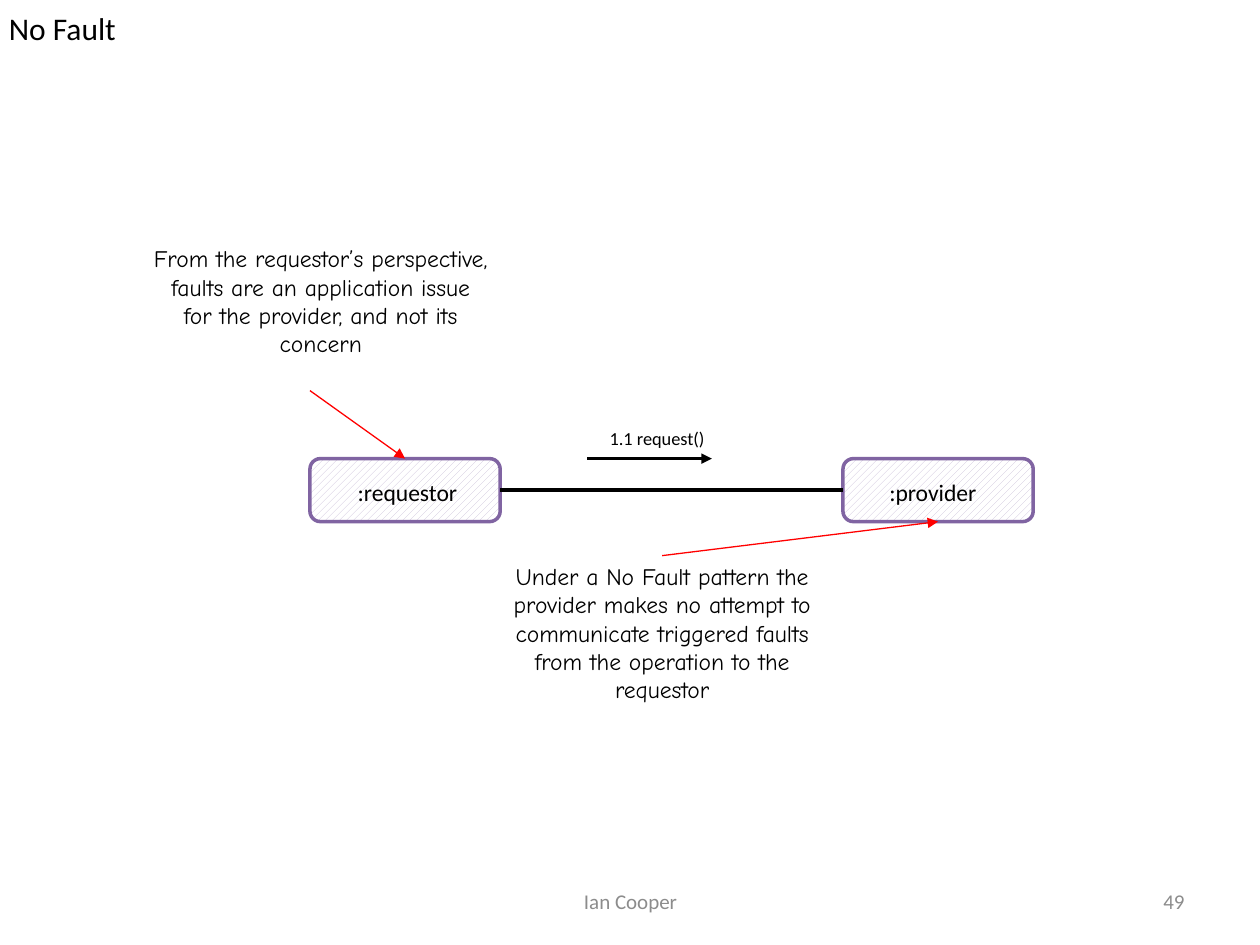
from typing import NamedTuple, Optional

from lxml.etree import SubElement
from pptx import Presentation
from pptx.dml.color import RGBColor
from pptx.enum.dml import MSO_PATTERN
from pptx.enum.shapes import MSO_CONNECTOR, MSO_SHAPE
from pptx.enum.text import MSO_ANCHOR, MSO_AUTO_SIZE, PP_ALIGN
from pptx.oxml.ns import qn
from pptx.util import Inches, Pt

COLORS = {
    "text": "000000", "footer": "8C8C8C", "link": "000000", "callout": "FF0000",
    "border": "8064A2", "hatch": "CCC1DA", "paper": "FFFFFF",
}
COLS, ROWS = 100, 75  # grid of 0.1 inch cells
TOP, LEFT, BOTTOM, RIGHT = range(4)  # connection sites


class Area(NamedTuple):
    col: float
    row: float
    cols: float
    rows: float


class Label(NamedTuple):
    text: str
    area: Area
    size: float
    font: str = "Calibri"
    color: str = "text"
    align: PP_ALIGN = PP_ALIGN.LEFT
    footer: bool = False
    inset: Optional[float] = None


class Line(NamedTuple):
    start: tuple
    end: tuple
    color: str
    width: float
    arrow: bool = True


prs = Presentation()
prs.slide_width, prs.slide_height = Inches(10), Inches(7.5)
s = prs.slides.add_slide(prs.slide_layouts[6])


def x(col: float) -> int:
    return round(prs.slide_width * col / COLS)


def y(row: float) -> int:
    return round(prs.slide_height * row / ROWS)


def place(area: Area) -> tuple:
    return x(area.col), y(area.row), x(area.cols), y(area.rows)


def rgb(name: str) -> RGBColor:
    return RGBColor.from_string(COLORS[name])


def add_label(label: Label):
    sp = s.shapes.add_textbox(*place(label.area))
    tf = sp.text_frame
    tf.text = label.text
    tf.word_wrap = True
    if label.footer:
        tf.vertical_anchor = MSO_ANCHOR.MIDDLE
    else:
        tf.auto_size = MSO_AUTO_SIZE.SHAPE_TO_FIT_TEXT
    if label.inset is not None:
        tf.margin_left = tf.margin_right = x(label.inset)
        tf.margin_top = tf.margin_bottom = y(label.inset)
    p = tf.paragraphs[0]
    p.alignment = label.align
    font = p.runs[0].font
    font.name, font.size = label.font, Pt(label.size)
    font.color.rgb = rgb(label.color)
    return sp


def add_object_box(area: Area):
    sp = s.shapes.add_shape(MSO_SHAPE.ROUNDED_RECTANGLE, *place(area))
    sp.shadow.inherit = False
    sp.fill.patterned()
    sp.fill.pattern = MSO_PATTERN.WIDE_UPWARD_DIAGONAL
    sp.fill.fore_color.rgb = rgb("hatch")
    sp.fill.back_color.rgb = rgb("paper")
    sp.line.color.rgb = rgb("border")
    sp.line.width = Pt(2)
    return sp


def add_line(line: Line):
    (x1, y1), (x2, y2) = line.start, line.end
    c = s.shapes.add_connector(MSO_CONNECTOR.STRAIGHT, x(x1), y(y1), x(x2), y(y2))
    c.line.color.rgb = rgb(line.color)
    c.line.width = Pt(line.width)
    if line.arrow:
        SubElement(c.line._get_or_add_ln(), qn("a:tailEnd"), type="triangle")
    SubElement(c._element.spPr, qn("a:effectLst"))
    return c


# Title and footer
add_label(Label("No Fault", Area(0, 0, COLS, 4.5), 18, inset=0.7))
for text, col, cols, align in (("Ian Cooper", 34.2, 31.7, PP_ALIGN.CENTER),
                               ("49", 71.7, 23.3, PP_ALIGN.RIGHT)):
    add_label(Label(text, Area(col, 69.5, cols, 4), 12, color="footer",
                    align=align, footer=True))

# Requestor and provider, joined by their link
BOX_ROW, BOX_COLS, BOX_ROWS = 36.4, 15.1, 5
requestor, provider = (add_object_box(Area(col, BOX_ROW, BOX_COLS, BOX_ROWS))
                       for col in (24.6, 66.9))
middle = BOX_ROW + BOX_ROWS / 2
link = add_line(Line((39.7, middle), (66.9, middle), "link", 2.5, arrow=False))
link.begin_connect(requestor, RIGHT)
link.end_connect(provider, LEFT)

# Message arrow and names
add_line(Line((46.6, BOX_ROW), (56.5, BOX_ROW), "link", 1.5))
for label in (
    Label("1.1 request()", Area(47.4, 33.4, 9.8, 2.8), 10.5),
    Label(":requestor", Area(27.4, 37.4, 10.9, 3.3), 13.5),
    Label(":provider", Area(69.6, 37.4, 9.6, 3.3), 13.5),
):
    add_label(label)

# Notes with their callout arrows
provider_note, requestor_note = (
    add_label(Label(text, area, 13.5, "Comic Neue", align=PP_ALIGN.CENTER))
    for text, area in (
        ("Under a No Fault pattern the provider makes no attempt to communicate "
         "triggered faults from the operation to the requestor",
         Area(38.3, 44.1, 28.5, 12.4)),
        ("From the requestor’s perspective, faults are an application issue "
         "for the provider, and not its concern",
         Area(11.2, 18.9, 28.5, 10.1)),
    ))
callout = add_line(Line((52.5, 44.1), (74.4, 41.4), "callout", 0.75))
callout.begin_connect(provider_note, TOP)
callout.end_connect(provider, BOTTOM)
callout = add_line(Line((24.6, 31), (32.2, BOX_ROW), "callout", 0.75))
callout.end_connect(requestor, TOP)

prs.save("out.pptx")
